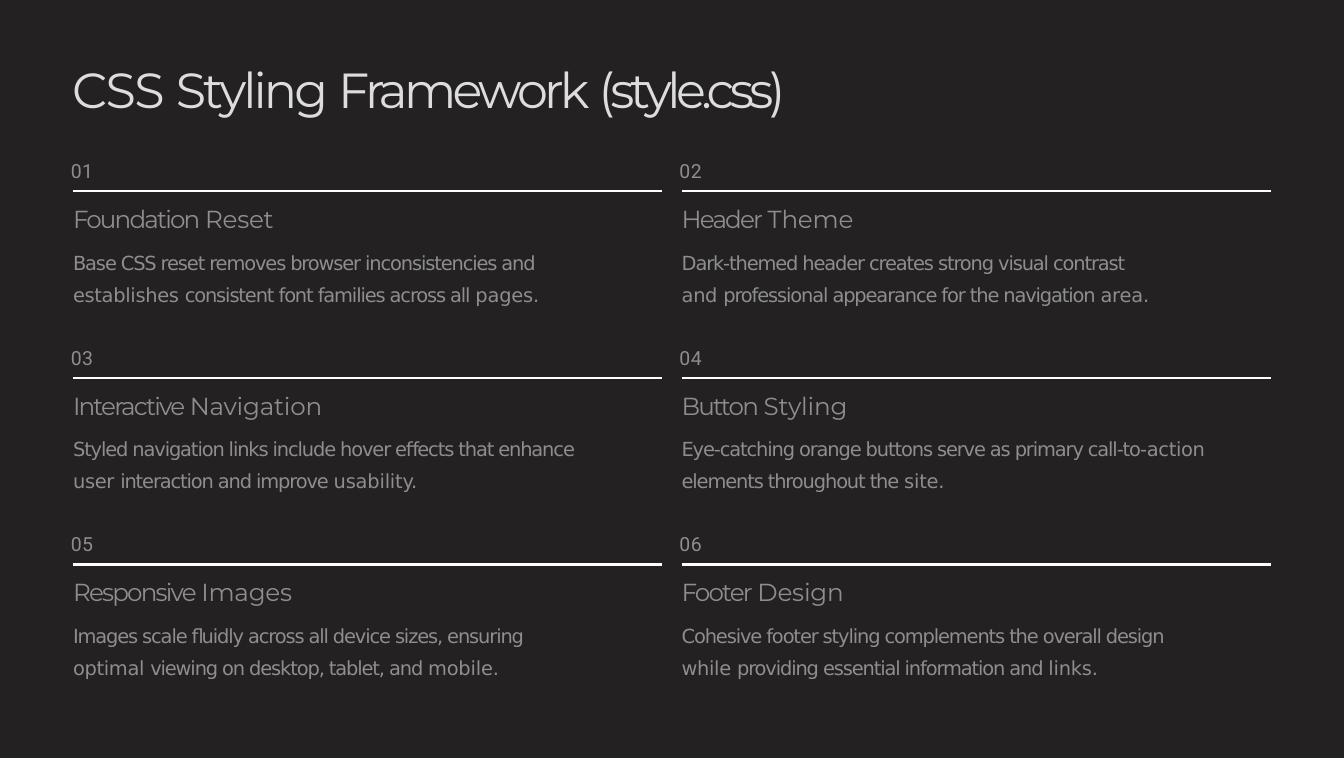
from dataclasses import dataclass

from lxml import etree
from pptx import Presentation
from pptx.dml.color import RGBColor
from pptx.enum.shapes import MSO_CONNECTOR
from pptx.enum.text import MSO_ANCHOR, MSO_AUTO_SIZE, PP_ALIGN
from pptx.oxml.ns import qn
from pptx.util import Inches, Pt

STRAIGHT = MSO_CONNECTOR.STRAIGHT
TOP = MSO_ANCHOR.TOP
NO_FIT = MSO_AUTO_SIZE.NONE
LEFT = PP_ALIGN.LEFT


@dataclass(frozen=True)
class Theme:
    background: str = "232121"
    title: str = "DDDDDD"
    text: str = "8E8E8E"
    rule: str = "FFFFFF"
    heading_font: str = "Montserrat"
    number_font: str = "Roboto"
    body_font: str = "DejaVu Sans"
    title_size: float = 33
    heading_size: float = 16.5
    body_size: float = 13
    rule_weight: float = 1.5


THEME = Theme()

TITLE = [("CSS ", -1.1), ("Styling ", -2), ("Framework ", -2.5), ("(style.css)", -3)]
HEADING_TRACKING = (-1.2, -0.1)
BODY_TRACKING = (-0.75, -0.2, -0.75, -0.1)

TOPICS = [
    ("01", ("Foundation ", "Reset"),
     ("Base CSS reset removes browser inconsistencies and ", "establishes ",
      "consistent font families across all ", "pages.")),
    ("02", ("Header ", "Theme"),
     ("Dark-themed header creates strong visual contrast ", "and ",
      "professional appearance for the navigation ", "area.")),
    ("03", ("Interactive ", "Navigation"),
     ("Styled navigation links include hover effects that enhance ", "user ",
      "interaction and improve ", "usability.")),
    ("04", ("Button ", "Styling"),
     ("Eye-catching orange buttons serve as primary call-to-", "action ",
      "elements throughout the ", "site.")),
    ("05", ("Responsive ", "Images"),
     ("Images scale fluidly across all device sizes, ensuring ", "optimal ",
      "viewing on desktop, tablet, and ", "mobile.")),
    ("06", ("Footer ", "Design"),
     ("Cohesive footer styling complements the overall design ", "while ",
      "providing essential information and ", "links.")),
]
TEXT_WIDTH = 4.87
NARROW_WIDTHS = {"02": 4.48}

GRID_LEFT, GRID_TOP = 0.68, 1.46
COLUMN_WIDTH, COLUMN_PITCH = 5.48, 5.66
ROW_PITCH = 1.735


def apply(target, values):
    for name, value in values.items():
        setattr(target, name, value)


def format_frame(frame, inset_top):
    apply(frame, {"word_wrap": True, "auto_size": NO_FIT, "vertical_anchor": TOP,
                  "margin_left": 0, "margin_right": 0, "margin_bottom": 0,
                  "margin_top": Inches(inset_top)})


def write(paragraph, segments, font, size, color, **spacing):
    apply(paragraph, {"alignment": LEFT, **spacing})
    for text, tracking in segments:
        run = paragraph.add_run()
        run.text = text
        apply(run.font, {"name": font, "size": Pt(size)})
        run.font.color.rgb = RGBColor.from_string(color)
        run.font._element.set("spc", str(round(tracking * 100)))


def add_frame(slide, left, top, width, height, inset_top):
    box = slide.shapes.add_textbox(*map(Inches, (left, top, width, height)))
    format_frame(box.text_frame, inset_top)
    return box.text_frame


def add_title(slide, left, top, width, height):
    title = slide.shapes.title
    apply(title, {"left": Inches(left), "top": Inches(top),
                  "width": Inches(width), "height": Inches(height)})
    format_frame(title.text_frame, 0.02)
    write(title.text_frame.paragraphs[0], TITLE, THEME.heading_font,
          THEME.title_size, THEME.title, space_before=Pt(1.1))


def add_rule(slide, left, top, width):
    rule = slide.shapes.add_connector(
        STRAIGHT, *map(Inches, (left, top, left + width, top)))
    rule.line.width = Pt(THEME.rule_weight)
    rule.line.color.rgb = RGBColor.from_string(THEME.rule)
    etree.SubElement(rule._element.spPr, qn("a:effectLst"))


def add_topic(slide, topic, left, top, width):
    number, heading, description = topic
    number_frame = add_frame(slide, left - 0.02, top, 0.3, 0.25, 0.02)
    write(number_frame.paragraphs[0], [(number, 0.3)], THEME.number_font,
          THEME.body_size, THEME.text, space_before=Pt(1.2))
    add_rule(slide, left, top + 0.32, width)
    text_width = NARROW_WIDTHS.get(number, TEXT_WIDTH)
    frame = add_frame(slide, left, top + 0.43, text_width, 0.98, 0.01)
    write(frame.paragraphs[0], zip(heading, HEADING_TRACKING), THEME.heading_font,
          THEME.heading_size, THEME.text, space_before=Pt(1.1))
    write(frame.add_paragraph(), zip(description, BODY_TRACKING), THEME.body_font,
          THEME.body_size, THEME.text, space_before=Pt(5.3), line_spacing=1.38)


def add_topic_grid(slide, left, top):
    for index, topic in enumerate(TOPICS):
        row, column = divmod(index, 2)
        add_topic(slide, topic, left + column * COLUMN_PITCH,
                  top + row * ROW_PITCH, COLUMN_WIDTH)


def main():
    deck = Presentation()
    apply(deck, {"slide_width": Inches(12.5), "slide_height": Inches(7.05)})
    slide = deck.slides.add_slide(deck.slide_layouts[5])
    slide.background.fill.solid()
    slide.background.fill.fore_color.rgb = RGBColor.from_string(THEME.background)
    add_title(slide, 0.67, 0.53, 7.55, 0.58)
    add_topic_grid(slide, GRID_LEFT, GRID_TOP)
    deck.save("out.pptx")


if __name__ == "__main__":
    main()
